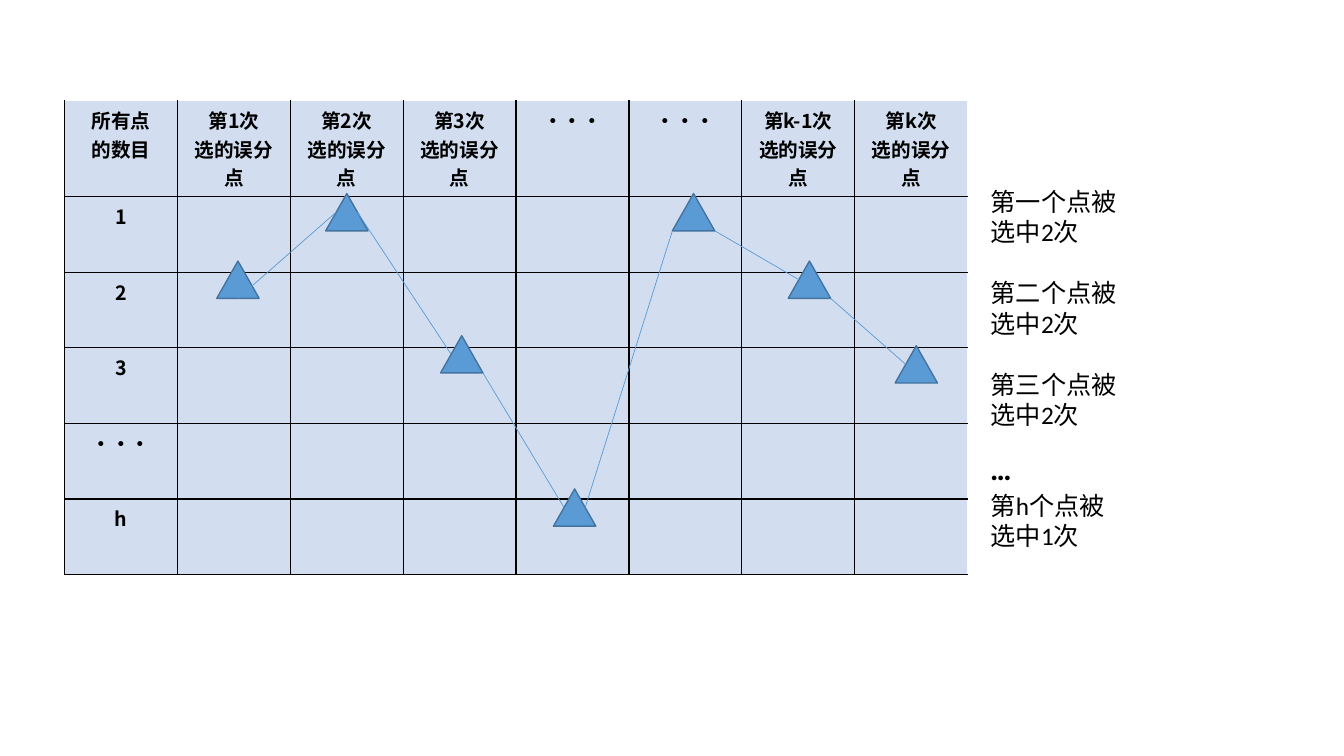
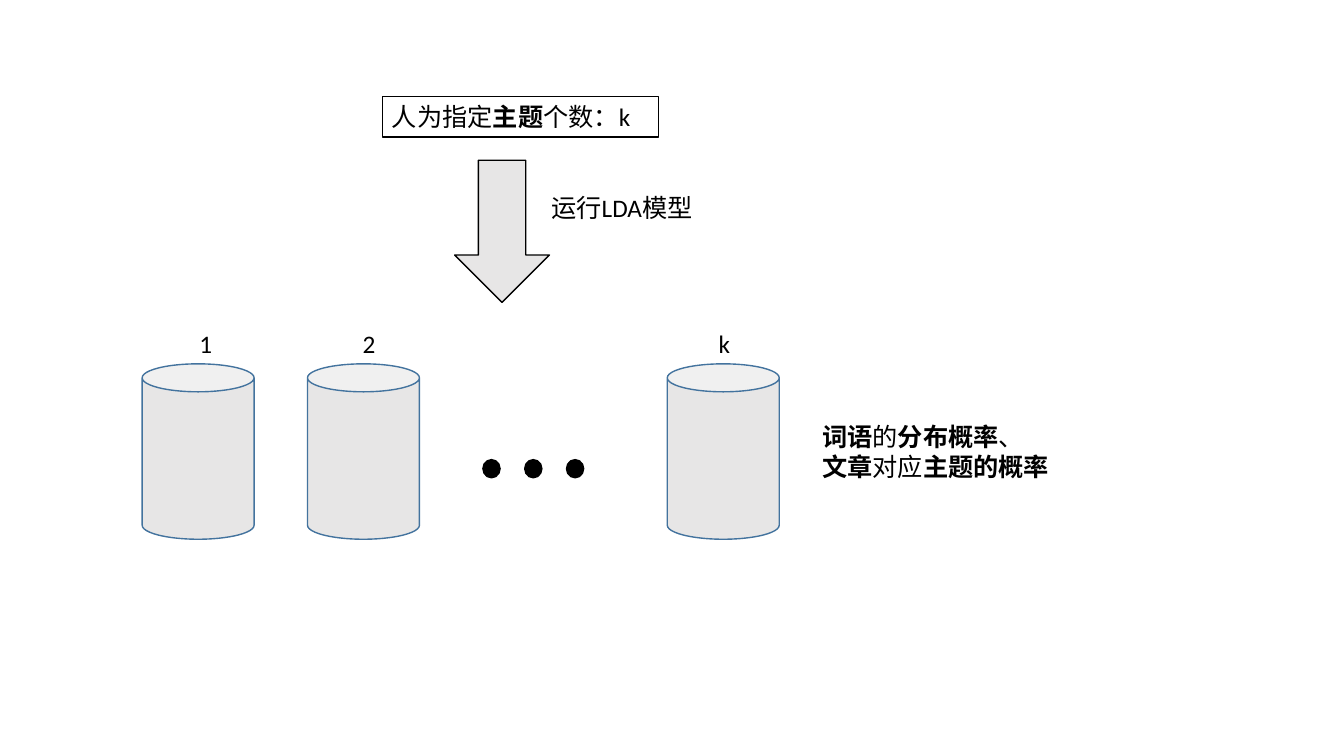
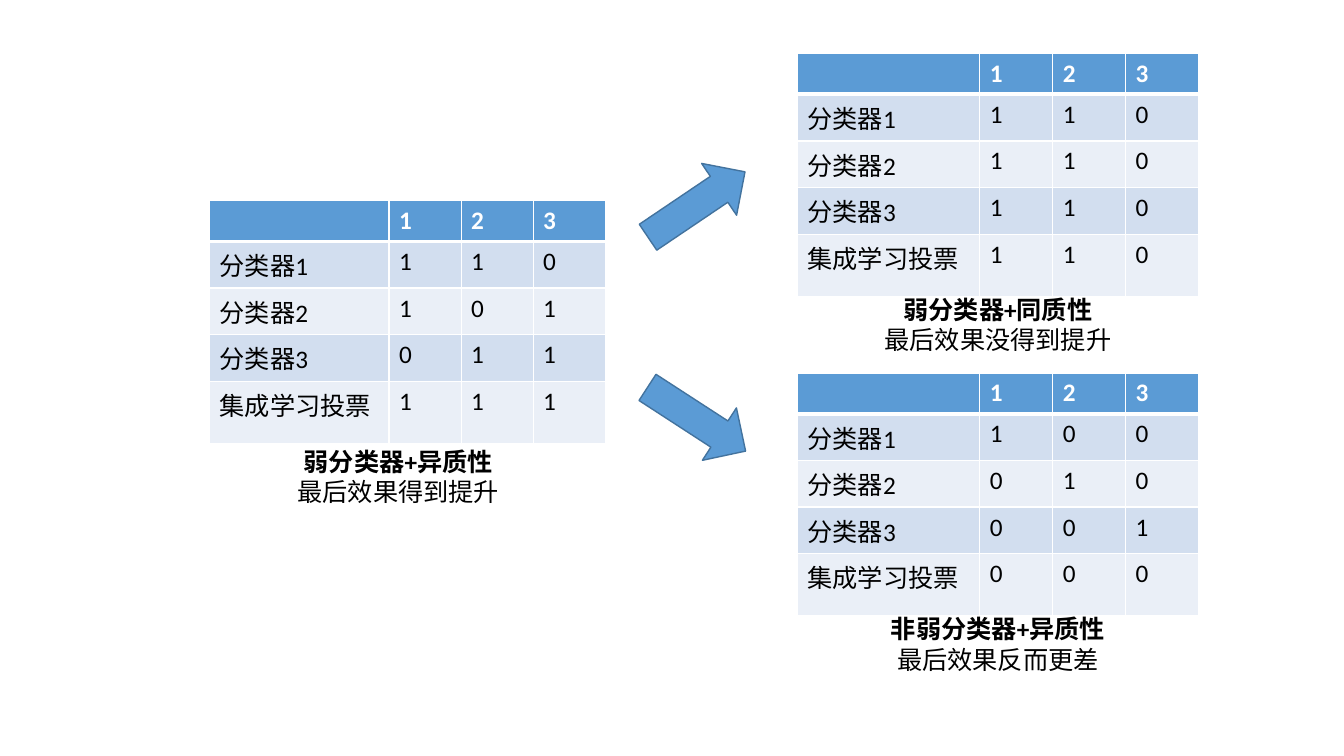
from dataclasses import dataclass
from itertools import pairwise

from lxml.etree import SubElement
from pptx import Presentation
from pptx.dml.color import RGBColor
from pptx.enum.shapes import MSO_CONNECTOR, MSO_SHAPE
from pptx.enum.text import PP_ALIGN
from pptx.oxml.ns import qn
from pptx.util import Inches, Pt


@dataclass(frozen=True)
class Theme:
    black: str = "000000"
    white: str = "FFFFFF"
    accent: str = "5B9BD5"
    accent_line: str = "43739E"
    band_dark: str = "D2DEEF"
    band_light: str = "EAEFF7"
    gray: str = "E7E6E6"
    latin: str = "Calibri"
    chinese: str = "Noto Sans CJK SC"
    body_size: int = 18
    grid_size: int = 14
    line_gap: int = 22


THEME = Theme()
SLIDE_WIDTH = Inches(13.33)
SLIDE_HEIGHT = Inches(7.5)
TRIANGLE_SITES = {
    "left": (0.25, 0.5),
    "right": (0.75, 0.5),
    "bottom_left": (0, 1),
    "bottom": (0.5, 1),
    "bottom_right": (1, 1),
}


def across(percent):
    return round(SLIDE_WIDTH * percent / 100)


def down(percent):
    return round(SLIDE_HEIGHT * percent / 100)


def area(left, top, width, height):
    return across(left), down(top), across(width), down(height)


def color(value):
    return RGBColor.from_string(value)


def style_paragraph(paragraph, size=THEME.body_size, text_color=THEME.black, bold=False,
                    latin=THEME.latin, east_asian=THEME.latin, align=PP_ALIGN.LEFT):
    paragraph.alignment = align
    font = paragraph.font
    font.size = Pt(size)
    font.bold = bold
    font.name = latin
    font.color.rgb = color(text_color)
    defaults = paragraph._p.pPr.find(qn("a:defRPr"))
    SubElement(defaults, qn("a:ea"), typeface=east_asian)


def write(frame, text, **style):
    for index, line in enumerate(text.split("\n")):
        paragraph = frame.add_paragraph() if index else frame.paragraphs[0]
        style_paragraph(paragraph, **style)
        for part, words in enumerate(line.split("**")):
            if words:
                run = paragraph.add_run()
                run.text = words
                if part % 2:
                    run.font.bold = True


def add_text(slide, box, text, **style):
    shape = slide.shapes.add_textbox(*area(*box))
    shape.text_frame.word_wrap = True
    write(shape.text_frame, text, **style)
    return shape


def add_figure(slide, kind, box, fill, line, rotation=0):
    shape = slide.shapes.add_shape(kind, *area(*box))
    shape.shadow.inherit = False
    shape.fill.solid()
    shape.fill.fore_color.rgb = color(fill)
    shape.line.color.rgb = color(line)
    shape.line.width = Pt(1)
    shape.rotation = rotation
    return shape


def site_point(triangle, site):
    share_x, share_y = TRIANGLE_SITES[site]
    return (round(triangle.left + triangle.width * share_x),
            round(triangle.top + triangle.height * share_y))


def add_link(slide, start, end):
    link = slide.shapes.add_connector(MSO_CONNECTOR.STRAIGHT, *start, *end)
    link.line.color.rgb = color(THEME.accent)
    link.line.width = Pt(0.5)
    SubElement(link._element.spPr, qn("a:effectLst"))


def set_border(cell, side, line_color, width):
    properties = cell._tc.get_or_add_tcPr()
    line = SubElement(properties, qn(f"a:ln{side}"), w=str(Pt(width)))
    fill = SubElement(line, qn("a:solidFill"))
    SubElement(fill, qn("a:srgbClr"), val=line_color)


def add_grid(slide, left, top, widths, heights, rows, style_cell):
    box = area(left, top, sum(widths), sum(heights))
    table = slide.shapes.add_table(len(heights), len(widths), *box).table
    table.first_row = False
    table.horz_banding = False
    for column, width in zip(table.columns, widths):
        column.width = across(width)
    for row, height in zip(table.rows, heights):
        row.height = down(height)
    for row_index, row in enumerate(rows):
        for column_index, text in enumerate(row):
            cell = table.cell(row_index, column_index)
            borders, fill, style = style_cell(row_index, column_index)
            for side, (line_color, width) in borders.items():
                set_border(cell, side, line_color, width)
            cell.fill.solid()
            cell.fill.fore_color.rgb = color(fill)
            write(cell.text_frame, text, east_asian=THEME.chinese, **style)


def style_selection_cell(row, column):
    line = (THEME.black, 1)
    borders = {"L": line}
    if column < 7:
        borders["R"] = line
    if row:
        borders["T"] = line
    borders["B"] = line
    return borders, THEME.band_dark, dict(
        size=THEME.grid_size, bold=True, latin=THEME.chinese, align=PP_ALIGN.CENTER)


def style_vote_cell(row, column):
    borders = {side: (THEME.white, 1) for side in "LRTB"}
    if row == 0:
        borders["B"] = (THEME.white, 3)
        return borders, THEME.accent, dict(text_color=THEME.white, bold=True)
    if row == 1:
        borders["T"] = (THEME.white, 3)
    return borders, THEME.band_dark if row % 2 else THEME.band_light, {}


def add_vote_table(slide, left, top, label_width, vote_width, votes):
    labels = ["分类器1", "分类器2", "分类器3", "集成学习投票"]
    rows = [["", *"123"]] + [[label, *vote] for label, vote in zip(labels, votes)]
    add_grid(slide, left, top, [label_width] + [vote_width] * 3,
             [5.33] * 4 + [8.27], rows, style_vote_cell)


def build_selection_slide(slide):
    picks = ["第1次", "第2次", "第3次", "···", "···", "第k-1次", "第k次"]
    header = ["所有点\n的数目"] + [
        pick if pick == "···" else f"{pick}\n选的误分点" for pick in picks]
    rows = [header] + [[label] + [""] * 7 for label in ["1", "2", "3", "···", "h"]]
    add_grid(slide, 4.8, 13.33, [8.4] * 8, [10.13] + [10] * 5, rows, style_selection_cell)

    corners = [(16.13, 34.53), (24.23, 25.6), (32.78, 44.4), (41.18, 64.67),
               (50.03, 25.6), (58.65, 34.53), (66.6, 45.73)]
    triangles = [
        add_figure(slide, MSO_SHAPE.ISOSCELES_TRIANGLE, (*corner, 3.15, 4.93),
                   THEME.accent, THEME.accent_line)
        for corner in corners]
    sites = [("bottom", "left"), ("right", "left"), ("bottom_right", "left"),
             ("right", "bottom_left"), ("bottom_right", "left"), ("bottom_right", "left")]
    for (first, second), (start, end) in zip(pairwise(triangles), sites):
        add_link(slide, site_point(first, start), site_point(second, end))

    points = [f"第{number}个点被选中2次" for number in "一二三"]
    notes = add_text(slide, (72.98, 24, 11.03, 49.73),
                     "\n".join(points + ["**···**", "第h个点被选中1次"]))
    for paragraph in notes.text_frame.paragraphs[:3]:
        paragraph.space_after = Pt(THEME.line_gap)


def build_topic_slide(slide):
    topic_count = add_text(slide, (28.43, 12.8, 20.55, 5.33), "人为指定**主题**个数：k")
    topic_count.line.color.rgb = color(THEME.black)
    topic_count.line.width = Pt(0.75)
    add_figure(slide, MSO_SHAPE.DOWN_ARROW, (33.83, 21.2, 7.05, 18.8), THEME.gray, THEME.black)
    add_text(slide, (40.28, 24.8, 12.68, 5.33), "运行LDA模型")
    for label, can_left, label_left in [("1", 10.58, 14.1), ("2", 22.88, 26.25),
                                        ("k", 49.65, 52.73)]:
        add_figure(slide, MSO_SHAPE.CAN, (can_left, 48.13, 8.33, 23.2),
                   THEME.gray, THEME.accent_line)
        add_text(slide, (label_left, 42.8, 2.18, 5.33), label)
    for index in range(3):
        add_figure(slide, MSO_SHAPE.OVAL, (35.93 + 3.11 * index, 60.8, 1.28, 2.4),
                   THEME.black, THEME.black)
    add_text(slide, (60.45, 55.07, 20.03, 9.47),
             "**词语**的**分布概率**、\n**文章**对应**主题的概率**")


def build_ensemble_slide(slide):
    add_vote_table(slide, 15.6, 26.53, 13.35, 5.36, ["110", "101", "011", "111"])
    add_vote_table(slide, 59.33, 7.07, 13.58, 5.42, ["110"] * 4)
    add_vote_table(slide, 59.33, 49.33, 13.58, 5.42, ["100", "010", "001", "000"])
    for left, top, caption in [
            (16.43, 58.4, "**弱分类器+异质性**\n最后效果得到提升"),
            (61.05, 38.27, "**弱分类器+同质性**\n最后效果没得到提升"),
            (61.05, 80.53, "**非弱分类器+异质性**\n最后效果反而更差")]:
        add_text(slide, (left, top, 26.4, 9.47), caption, align=PP_ALIGN.CENTER)
    for top, rotation in [(19.33, 56), (47.73, 123)]:
        add_figure(slide, MSO_SHAPE.UP_ARROW, (49.5, top, 4.65, 15.47),
                   THEME.accent, THEME.accent_line, rotation)


def main():
    presentation = Presentation()
    presentation.slide_width = SLIDE_WIDTH
    presentation.slide_height = SLIDE_HEIGHT
    blank = presentation.slide_layouts[6]
    for build in (build_selection_slide, build_topic_slide, build_ensemble_slide):
        build(presentation.slides.add_slide(blank))
    presentation.save("out.pptx")


if __name__ == "__main__":
    main()
